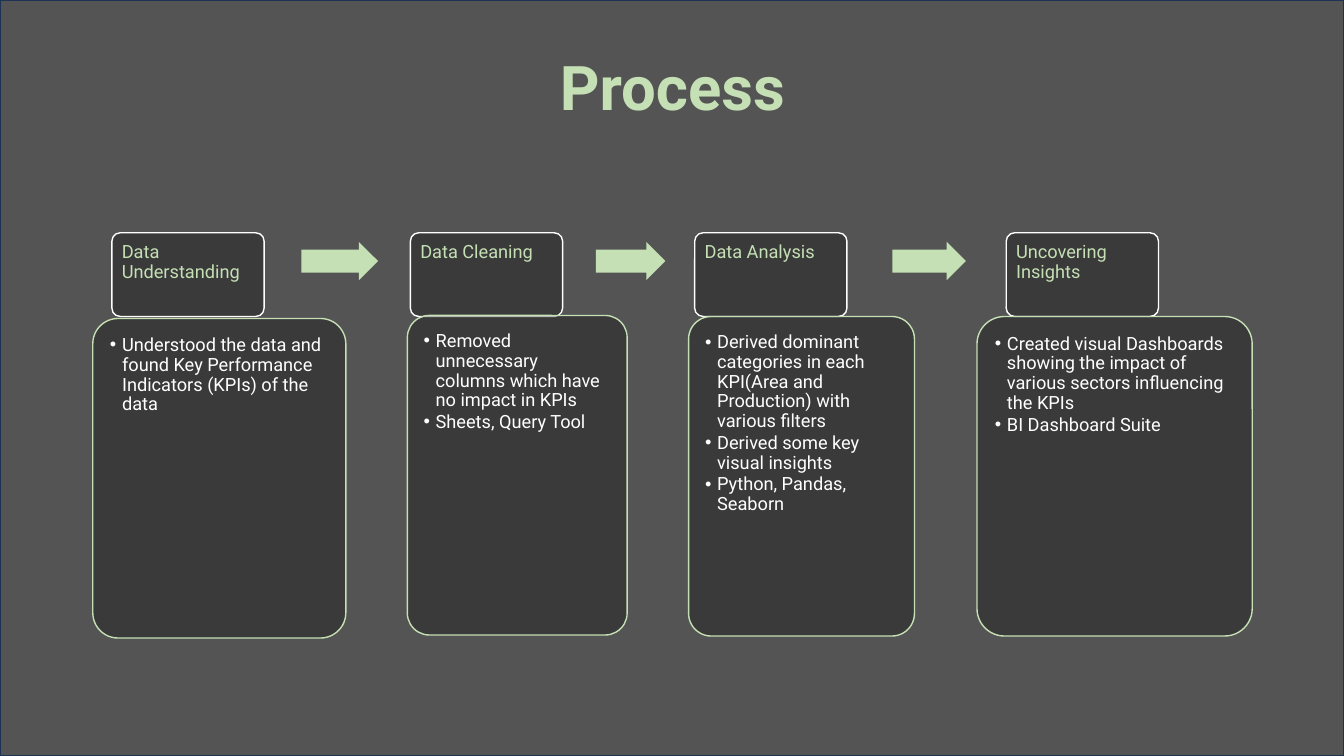
from pptx import Presentation
from pptx.dml.color import RGBColor
from pptx.enum.shapes import MSO_SHAPE
from pptx.enum.text import MSO_ANCHOR, PP_ALIGN
from pptx.oxml.ns import qn
from pptx.util import Inches, Pt
from lxml import etree

RECTANGLE = MSO_SHAPE.RECTANGLE
ROUNDED = MSO_SHAPE.ROUNDED_RECTANGLE
RIGHT_ARROW = MSO_SHAPE.RIGHT_ARROW
TOP, MIDDLE = MSO_ANCHOR.TOP, MSO_ANCHOR.MIDDLE
LEFT, CENTER = PP_ALIGN.LEFT, PP_ALIGN.CENTER

BLACK = RGBColor(0x00, 0x00, 0x00)
WHITE = RGBColor(0xFF, 0xFF, 0xFF)
GREEN = RGBColor(0xC5, 0xE0, 0xB4)
NAVY = RGBColor(0x1E, 0x32, 0x56)

FONT = "Roboto"
SLIDE_W, SLIDE_H = 13.33, 7.5
HEADER_TOP, HEADER_W, HEADER_H = 2.31, 1.51, 0.83
CARD_H = 3.17
CORNER = 0.1
CORNER_INSET = 0.029  # share of the card width that its round corners take
ARROW_TOP, ARROW_H = 2.4, 0.38
BULLET_INDENT = 0.12

# heading, heading left, card (left, top, width), points
STEPS = [
    ("Data Understanding", 1.11, (0.92, 3.16, 2.51),
     ["Understood the data and found Key Performance Indicators (KPIs) of the data"]),
    ("Data Cleaning", 4.07, (4.04, 3.13, 2.18),
     ["Removed unnecessary columns which have no impact in KPIs",
      "Sheets, Query Tool"]),
    ("Data Analysis", 6.89, (6.83, 3.14, 2.24),
     ["Derived dominant categories in each KPI(Area and Production) with various filters",
      "Derived some key visual insights",
      "Python, Pandas, Seaborn"]),
    ("Uncovering Insights", 9.98, (9.69, 3.14, 2.73),
     ["Created visual Dashboards showing the impact of various sectors influencing the KPIs",
      "BI Dashboard Suite"]),
]
# left, width
ARROWS = [(2.99, 0.76), (5.91, 0.69), (8.85, 0.73)]


def add_panel(slide, kind, left, top, width, height, fill, line=None,
              opacity=100, adjustments=()):
    panel = slide.shapes.add_shape(kind, Inches(left), Inches(top),
                                   Inches(width), Inches(height))
    panel.shadow.inherit = False
    panel.fill.solid()
    panel.fill.fore_color.rgb = fill
    if opacity < 100:
        color = panel.fill._xPr.find(qn("a:solidFill")).find(qn("a:srgbClr"))
        etree.SubElement(color, qn("a:alpha")).set("val", str(opacity * 1000))
    if line is None:
        panel.line.fill.background()
    else:
        panel.line.color.rgb = line
        panel.line.width = Pt(1)
    for index, value in enumerate(adjustments):
        panel.adjustments[index] = value


def add_bullet(paragraph):
    properties = paragraph._p.get_or_add_pPr()
    properties.set("marL", str(Inches(BULLET_INDENT)))
    properties.set("indent", str(-Inches(BULLET_INDENT)))
    etree.SubElement(properties, qn("a:buFont")).set("typeface", "Arial")
    etree.SubElement(properties, qn("a:buChar")).set("char", "•")


def add_text(slide, lines, left, top, width, height, size=13, color=WHITE,
             bold=False, align=LEFT, anchor=TOP, bullets=False, space_after=0):
    frame = slide.shapes.add_textbox(Inches(left), Inches(top),
                                     Inches(width), Inches(height)).text_frame
    frame.word_wrap = True
    frame.vertical_anchor = anchor
    frame.margin_left = frame.margin_right = Inches(0.1)
    frame.margin_top = Inches(0.1)
    frame.margin_bottom = Inches(0.1 if anchor == MIDDLE or bullets else 0.05)
    for index, line in enumerate(lines):
        paragraph = frame.paragraphs[0] if index == 0 else frame.add_paragraph()
        if bullets:
            add_bullet(paragraph)
        paragraph.alignment = align
        paragraph.line_spacing = 0.9
        paragraph.space_after = Pt(space_after)
        run = paragraph.add_run()
        run.text = line
        run.font.name = FONT
        run.font.size = Pt(size)
        run.font.bold = bold
        run.font.color.rgb = color


def add_step(slide, heading, heading_left, card, points):
    # Heading tab
    add_panel(slide, ROUNDED, heading_left, HEADER_TOP, HEADER_W, HEADER_H,
              BLACK, WHITE, opacity=30, adjustments=[CORNER])
    add_text(slide, [heading], heading_left, HEADER_TOP, HEADER_W, 0.56,
             color=GREEN)
    # Card with its points
    left, top, width = card
    add_panel(slide, ROUNDED, left, top, width, CARD_H, BLACK, GREEN,
              opacity=30, adjustments=[CORNER])
    inset = CORNER_INSET * width
    add_text(slide, points, left + inset, top + inset, width - 2 * inset,
             CARD_H - 2 * inset, bullets=True, space_after=1.5)


def main():
    deck = Presentation()
    deck.slide_width, deck.slide_height = Inches(SLIDE_W), Inches(SLIDE_H)
    slide = deck.slides.add_slide(deck.slide_layouts[6])

    # Backdrop and title
    add_panel(slide, RECTANGLE, 0, 0, SLIDE_W, SLIDE_H, BLACK, NAVY, opacity=67)
    add_text(slide, ["Process"], 0.92, 0.3, 11.5, 1.2, size=44, color=GREEN,
             bold=True, align=CENTER, anchor=MIDDLE)

    # Process steps and the arrows between them
    for step in STEPS:
        add_step(slide, *step)
    for left, width in ARROWS:
        add_panel(slide, RIGHT_ARROW, left, ARROW_TOP, width, ARROW_H, GREEN,
                  adjustments=[0.6, 0.5])

    deck.save("out.pptx")


if __name__ == "__main__":
    main()
